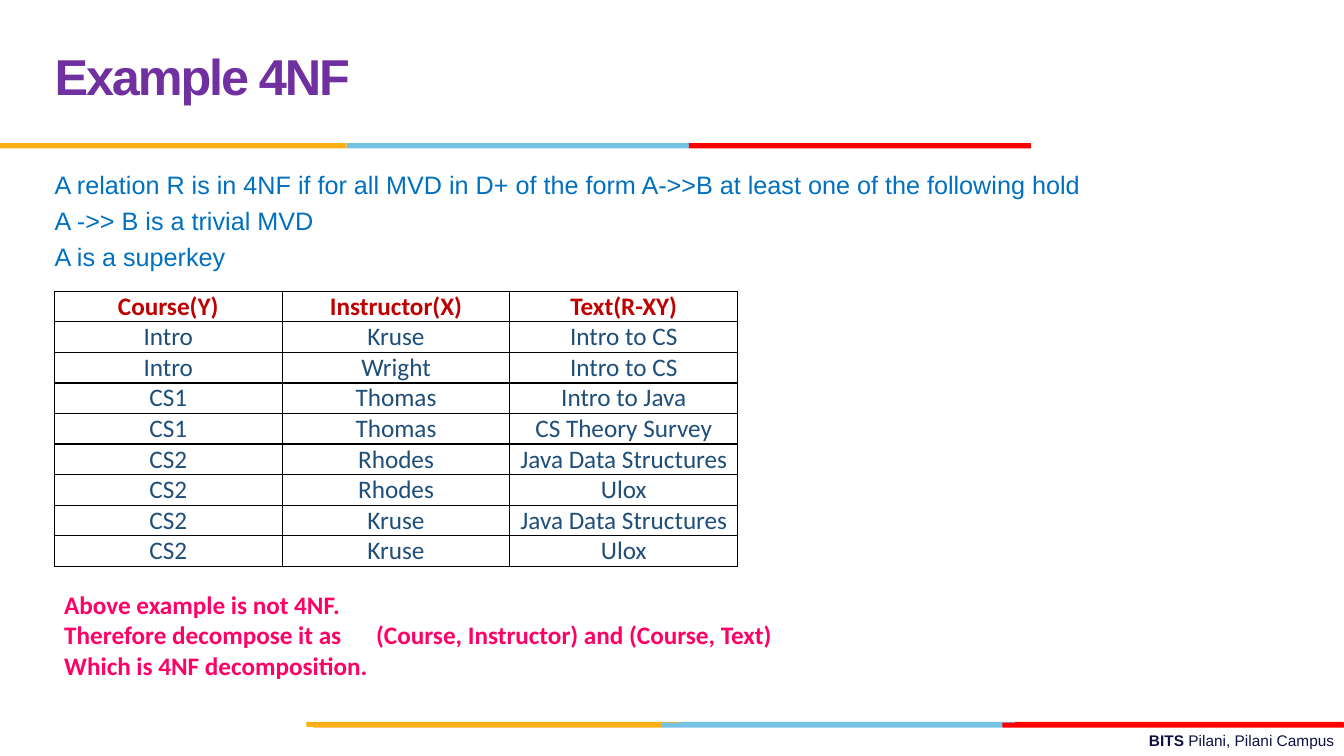
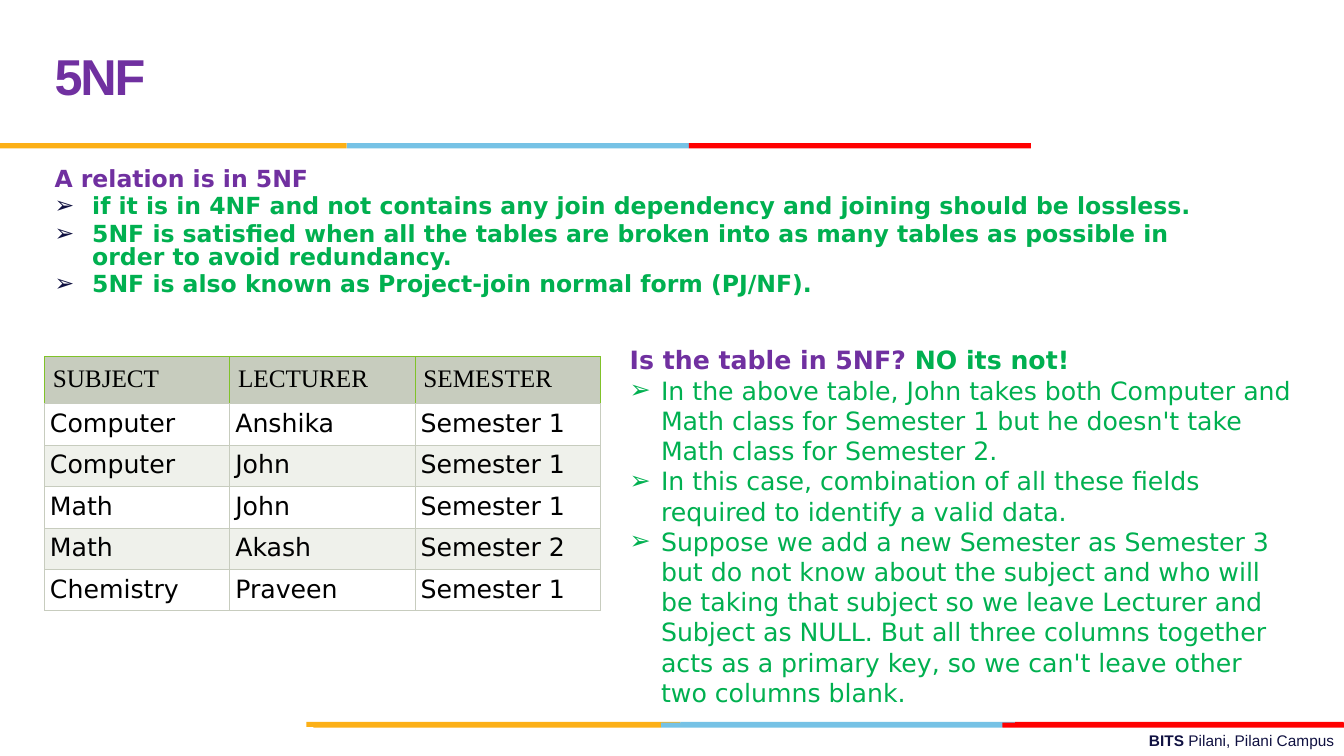
from lxml import etree
from pptx import Presentation, util as u
from pptx.dml.color import RGBColor
from pptx.enum import shapes, text
from pptx.oxml import ns

# Shared look
YELLOW, BLUE, RED = "FCB017", "76C2E5", "FF0000"
PURPLE, GREEN, NAVY = "7030A0", "00B050", "101141"
SAGE, PALE_SAGE, LIME = "C7CCBE", "EFF1EB", "80C229"
SANS, WIDE = "Arial", "DejaVu Sans"
LEFT = 1.12
BAND_HEIGHT = 0.13


def rgb(hex_color):
    return RGBColor.from_string(hex_color)


def place(shape, left, top, width, height):
    shape.left, shape.top = u.Cm(left), u.Cm(top)
    shape.width, shape.height = u.Cm(width), u.Cm(height)


def style(run, font, size, color, bold=False):
    run.font.name, run.font.size, run.font.bold = font, u.Pt(size), bold
    run.font.color.rgb = rgb(color)


def add_xml(parent, tag, **attributes):
    return etree.SubElement(parent, ns.qn(tag), attributes)


def set_indent(paragraph, hanging=0, bullet=None, bullet_color=None):
    """Set a hanging indent in cm, with a bullet or none."""
    properties = paragraph._p.get_or_add_pPr()
    properties.set("marL", str(int(u.Cm(hanging))))
    properties.set("indent", str(-int(u.Cm(hanging))))
    if not bullet:
        add_xml(properties, "a:buNone")
        return
    if bullet_color:
        add_xml(add_xml(properties, "a:buClr"), "a:srgbClr", val=bullet_color)
    add_xml(properties, "a:buFont", typeface=SANS)
    add_xml(properties, "a:buChar", char=bullet)


def paragraphs(frame, lines):
    frame.text = "\n".join(lines)
    return frame.paragraphs


def add_text_box(slide, left, top, width, height):
    box = slide.shapes.add_textbox(u.Cm(left), u.Cm(top), u.Cm(width), u.Cm(height))
    box.text_frame.word_wrap = True
    return box.text_frame


# Parts that every slide carries
def draw_strip(slide, left, top, widths):
    for color, width in zip((YELLOW, BLUE, RED), widths):
        band = slide.shapes.add_shape(
            shapes.MSO_SHAPE.RECTANGLE,
            u.Cm(left), u.Cm(top), u.Cm(width), u.Cm(BAND_HEIGHT))
        band.shadow.inherit = False
        band.fill.solid()
        band.fill.fore_color.rgb = rgb(color)
        band.line.fill.background()
        left += width


def draw_footer(slide, left, top, width, height):
    campus = add_text_box(slide, left, top, width, height).paragraphs[0]
    campus.alignment = text.PP_ALIGN.RIGHT
    for words, bold in (("BITS ", True), ("Pilani, Pilani Campus", False)):
        run = campus.add_run()
        run.text = words
        style(run, SANS, 11, NAVY, bold)


def new_slide(deck, heading):
    slide = deck.slides.add_slide(deck.slide_layouts[1])
    draw_strip(slide, 7.72, 18.19, (9.43, 8.43, 8.28))
    draw_strip(slide, 7.9, 18.21, (8.76, 8.6, 8.61))
    draw_strip(slide, 0, 3.61, (8.74, 8.62, 8.62))
    draw_footer(slide, 12.14, 18.31, 21.74, 0.74)

    title = slide.shapes.title
    place(title, LEFT, 0.43, 23.42, 3.18)
    frame = title.text_frame
    frame.text = heading
    frame.auto_size = text.MSO_AUTO_SIZE.NONE
    frame.vertical_anchor = text.MSO_ANCHOR.MIDDLE
    line = frame.paragraphs[0]
    line.alignment = text.PP_ALIGN.LEFT
    line.line_spacing = u.Pt(36)
    style(line.runs[0], SANS, 36, PURPLE, True)
    line.runs[0].font._element.set("spc", "-150")
    return slide


def fill_body(slide, lines, height):
    body = slide.placeholders[1]
    place(body, LEFT, 4.14, 30.4, height)
    body.text_frame.auto_size = text.MSO_AUTO_SIZE.NONE
    return paragraphs(body.text_frame, lines)


# Tables
def set_borders(cell, width, **colors):
    """Draw the cell's sides; colors maps lnL, lnR, lnT, lnB to a colour."""
    properties = cell._tc.get_or_add_tcPr()
    for position, (side, color) in enumerate(colors.items()):
        border = etree.Element(ns.qn("a:" + side), w=str(int(u.Pt(width))))
        add_xml(add_xml(border, "a:solidFill"), "a:srgbClr", val=color)
        properties.insert(position, border)


def add_grid(slide, rows, left, top, column_width, row_heights):
    """Add a plain table and yield row number and cell for formatting."""
    columns = len(rows[0])
    table = slide.shapes.add_table(
        len(rows), columns, u.Cm(left), u.Cm(top),
        u.Cm(column_width * columns), u.Cm(sum(row_heights))).table
    table.first_row = table.horz_banding = False
    for column in table.columns:
        column.width = u.Cm(column_width)
    for number, (values, height) in enumerate(zip(rows, row_heights)):
        table.rows[number].height = u.Cm(height)
        for value, cell in zip(values, table.rows[number].cells):
            cell.text_frame.text = value
            yield number, cell


def set_margins(cell, margin):
    cell.margin_left = cell.margin_right = u.Cm(margin)
    cell.margin_top = cell.margin_bottom = u.Cm(margin)


def draw_course_table(slide, left, top, column_width, row_height):
    rows = [
        ("Course(Y)", "Instructor(X)", "Text(R-XY)"),
        ("Intro", "Kruse", "Intro to CS"),
        ("Intro", "Wright", "Intro to CS"),
        ("CS1", "Thomas", "Intro to Java"),
        ("CS1", "Thomas", "CS Theory Survey"),
        ("CS2", "Rhodes", "Java Data Structures"),
        ("CS2", "Rhodes", "Ulox"),
        ("CS2", "Kruse", "Java Data Structures"),
        ("CS2", "Kruse", "Ulox"),
    ]
    heights = [row_height] * len(rows)
    for number, cell in add_grid(slide, rows, left, top, column_width, heights):
        header = number == 0
        set_margins(cell, 0)
        cell.vertical_anchor = text.MSO_ANCHOR.MIDDLE
        cell.fill.background()
        set_borders(cell, 1, lnL="000000", lnR="000000", lnT="000000", lnB="000000")
        entry = cell.text_frame.paragraphs[0]
        entry.alignment = text.PP_ALIGN.CENTER
        style(entry.runs[0], "Calibri", 18, "C00000" if header else "1F4E79", header)


def draw_lecturer_table(slide, left, top, column_width, header_height, row_height):
    rows = [
        ("SUBJECT", "LECTURER", "SEMESTER"),
        ("Computer", "Anshika", "Semester 1"),
        ("Computer", "John", "Semester 1"),
        ("Math", "John", "Semester 1"),
        ("Math", "Akash", "Semester 2"),
        ("Chemistry", "Praveen", "Semester 1"),
    ]
    heights = [header_height] + [row_height] * (len(rows) - 1)
    for number, cell in add_grid(slide, rows, left, top, column_width, heights):
        header = number == 0
        set_margins(cell, 0.21 if header else 0.14)
        cell.fill.solid()
        stripe = "FFFFFF" if number % 2 else PALE_SAGE
        cell.fill.fore_color.rgb = rgb(SAGE if header else stripe)
        edge = LIME if header else SAGE
        set_borders(cell, 0.5, lnL=edge, lnR=edge, lnT=edge, lnB=SAGE)
        style(cell.text_frame.paragraphs[0].runs[0],
              "Times New Roman" if header else WIDE, 18, "000000")


# Text regions
def draw_decomposition(slide, left, top, width, height):
    lines = paragraphs(add_text_box(slide, left, top, width, height), [
        "Above example is not 4NF.",
        "Therefore decompose it as\t(Course, Instructor) and (Course, Text)",
        "Which is 4NF decomposition.",
    ])
    tabs = add_xml(lines[1]._p.get_or_add_pPr(), "a:tabLst")
    add_xml(tabs, "a:tab", pos=str(int(u.Cm(7.86))), algn="l")
    for line in lines:
        style(line.runs[0], "Calibri", 18, "FF0066", True)


def draw_answer(slide, left, top, width, height):
    question, *reasons = paragraphs(add_text_box(slide, left, top, width, height), [
        "Is the table in 5NF? ",
        "In the above table, John takes both Computer and Math class for "
        "Semester 1 but he doesn't take Math class for Semester 2.",
        "In this case, combination of all these fields required to identify "
        "a valid data.",
        "Suppose we add a new Semester as Semester 3 but do not know about the "
        "subject and who will be taking that subject so we leave Lecturer and "
        "Subject as NULL. But all three columns together acts as a primary key, "
        "so we can't leave other two columns blank.",
    ])
    style(question.runs[0], WIDE, 18, PURPLE, True)
    verdict = question.add_run()
    verdict.text = "NO its not!"
    style(verdict, WIDE, 18, GREEN, True)
    for reason in reasons:
        set_indent(reason, 0.79, "➢")
        style(reason.runs[0], WIDE, 18, GREEN)
    for line in (question, *reasons):
        line.line_spacing = u.Pt(21.6)


# Slides
def build_4nf(deck):
    slide = new_slide(deck, "Example 4NF")
    conditions = fill_body(slide, [
        "A relation R is in 4NF if for all MVD in D+ of the form A->>B "
        "at least one of the following hold",
        "A ->> B is a trivial MVD",
        "A is a superkey",
    ], 12.57)
    for number, condition in enumerate(conditions):
        set_indent(condition)
        condition.space_before = u.Pt(4 if number else 0)
        style(condition.runs[0], SANS, 18, "0070C0")
    draw_course_table(slide, 1.37, 7.34, 5.74, 0.77)
    draw_decomposition(slide, 1.37, 14.73, 26.37, 2.57)


def build_5nf(deck):
    slide = new_slide(deck, "5NF")
    definition = fill_body(slide, [
        "A relation is in 5NF",
        "if it is in 4NF and not contains any join dependency and joining "
        "should be lossless.",
        "5NF is satisfied when all the tables are broken into as many tables "
        "as possible in order to avoid redundancy.",
        "5NF is also known as Project-join normal form (PJ/NF).",
    ], 4.14)
    for number, line in enumerate(definition):
        if number:
            set_indent(line, 0.95, "➢", NAVY)
        else:
            set_indent(line)
        line.line_spacing = u.Pt(16.4)
        line.space_before = u.Pt(3.2 if number else 0)
        style(line.runs[0], WIDE, 16.8, GREEN if number else PURPLE, True)
    draw_lecturer_table(slide, LEFT, 8.99, 4.67, 1.16, 1.02)
    draw_answer(slide, 15.62, 8.56, 17.25, 9.5)


def main():
    deck = Presentation()
    deck.slide_width, deck.slide_height = u.Cm(33.87), u.Cm(19.05)
    build_4nf(deck)
    build_5nf(deck)
    deck.save("out.pptx")


if __name__ == "__main__":
    main()
